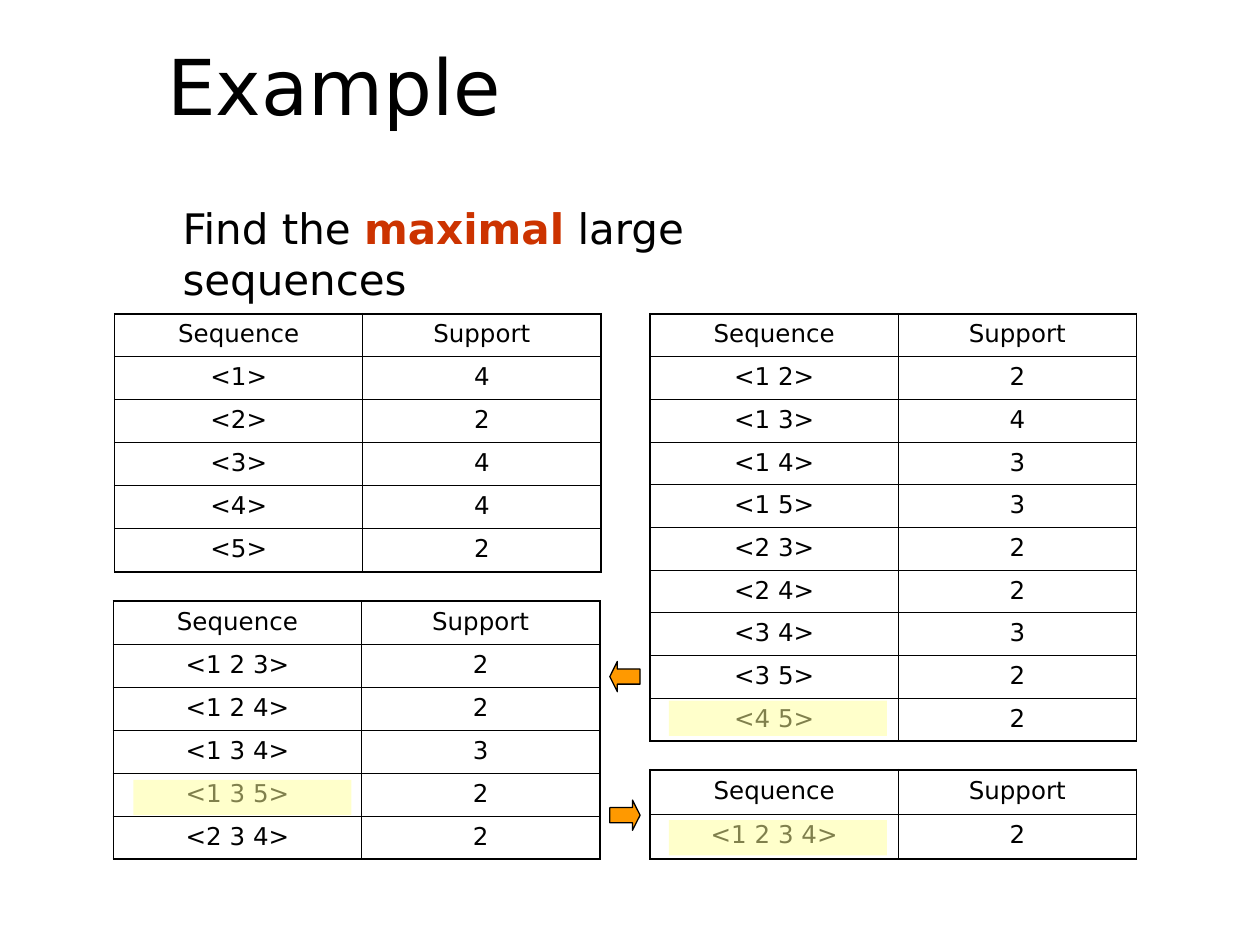
from dataclasses import dataclass

from lxml.etree import SubElement
from pptx import Presentation
from pptx.dml.color import RGBColor
from pptx.enum.shapes import MSO_SHAPE
from pptx.enum.text import MSO_ANCHOR, PP_ALIGN
from pptx.oxml import parse_xml
from pptx.oxml.ns import nsdecls, qn
from pptx.util import Inches, Pt


@dataclass(frozen=True)
class Theme:
    font: str = "DejaVu Sans"
    ink: str = "000000"
    accent: str = "CC3300"
    arrow: str = "FF9900"
    highlight: str = "FFFF99"
    title_size: int = 44
    body_size: int = 24
    cell_size: int = 14
    outer_border: float = 1.08
    inner_border: float = 0.45
    arrow_line: float = 0.75


THEME = Theme()

# Content
TITLE = [("Example", {})]
TASK = [
    ("Find the ", {}),
    ("maximal", {"color": THEME.accent, "bold": True}),
    (" large sequences", {}),
]
HEADER = ("Sequence", "Support")
COLUMN_WIDTHS = (1.97, 1.89)
TABLES = [  # left, top, height, rows
    (0.91, 2.49, 2.05, [("<1>", 4), ("<2>", 2), ("<3>", 4), ("<4>", 4), ("<5>", 2)]),
    (5.16, 2.49, 3.39, [
        ("<1 2>", 2), ("<1 3>", 4), ("<1 4>", 3), ("<1 5>", 3), ("<2 3>", 2),
        ("<2 4>", 2), ("<3 4>", 3), ("<3 5>", 2), ("<4 5>", 2),
    ]),
    (0.9, 4.77, 2.05, [
        ("<1 2 3>", 2), ("<1 2 4>", 2), ("<1 3 4>", 3), ("<1 3 5>", 2), ("<2 3 4>", 2),
    ]),
    (5.16, 6.11, 0.71, [("<1 2 3 4>", 2)]),
]
HIGHLIGHTS = [(5.31, 5.56), (1.06, 6.19), (5.31, 6.51)]
HIGHLIGHT_SIZE = (1.73, 0.28)
ARROWS = [(MSO_SHAPE.LEFT_ARROW, 5.25), (MSO_SHAPE.RIGHT_ARROW, 6.35)]
ARROW_LEFT, ARROW_SIZE = 4.84, 0.24


def write(para, spans, size):
    for text, style in spans:
        span = para.add_run()
        span.text = text
        values = {"name": THEME.font, "size": Pt(size), "bold": style.get("bold", False)}
        for name, value in values.items():
            setattr(span.font, name, value)
        span.font.color.rgb = RGBColor.from_string(style.get("color", THEME.ink))


def add_text(page, place, spans, size, anchor):
    box = page.shapes.add_textbox(*map(Inches, place))
    frame = box.text_frame
    frame.word_wrap = True
    frame.vertical_anchor = anchor
    write(frame.paragraphs[0], spans, size)


def set_borders(cell, widths):
    properties = cell._tc.get_or_add_tcPr()
    for index, (side, width) in enumerate(widths.items()):
        properties.insert(index, parse_xml(
            f'<a:ln{side} {nsdecls("a")} w="{int(Pt(width))}"><a:solidFill>'
            f'<a:srgbClr val="{THEME.ink}"/></a:solidFill></a:ln{side}>'))


def add_sequence_table(page, left, top, height, rows):
    lines = [HEADER, *rows]
    last_row, last_column = len(lines) - 1, len(HEADER) - 1
    place = map(Inches, (left, top, sum(COLUMN_WIDTHS), height))
    table = page.shapes.add_table(len(lines), len(HEADER), *place).table
    table.first_row = table.horz_banding = False
    for column, width in zip(table.columns, COLUMN_WIDTHS):
        column.width = Inches(width)
    for r, line in enumerate(lines):
        table.rows[r].height = Inches(height / len(lines))
        for c, value in enumerate(line):
            cell = table.cell(r, c)
            cell.fill.background()
            para = cell.text_frame.paragraphs[0]
            para.alignment = PP_ALIGN.CENTER
            write(para, [(str(value), {})], THEME.cell_size)
            outer = {"L": c == 0, "R": c == last_column, "T": r == 0, "B": r == last_row}
            set_borders(cell, {
                side: THEME.outer_border if edge else THEME.inner_border
                for side, edge in outer.items()})


def add_filled(page, kind, place, color):
    shape = page.shapes.add_shape(kind, *map(Inches, place))
    shape.shadow.inherit = False
    shape.fill.solid()
    shape.fill.fore_color.rgb = RGBColor.from_string(color)
    return shape


def main():
    deck = Presentation()
    deck.slide_width, deck.slide_height = Inches(10), Inches(7.5)
    page = deck.slides.add_slide(deck.slide_layouts[6])

    # Title and tables
    add_text(page, (1.23, 0.05, 8.77, 1.25), TITLE, THEME.title_size, MSO_ANCHOR.MIDDLE)
    for table in TABLES:
        add_sequence_table(page, *table)

    # Half-transparent marks over the maximal sequences
    for spot in HIGHLIGHTS:
        mark = add_filled(page, MSO_SHAPE.RECTANGLE, spot + HIGHLIGHT_SIZE, THEME.highlight)
        mark.line.fill.background()
        color = mark._element.spPr.find(qn("a:solidFill")).find(qn("a:srgbClr"))
        SubElement(color, qn("a:alpha"), val="50000")

    # Task statement
    add_text(page, (1.35, 1.56, 5.65, 0.5), TASK, THEME.body_size, MSO_ANCHOR.TOP)

    # Arrows between the tables
    for kind, top in ARROWS:
        arrow = add_filled(page, kind, (ARROW_LEFT, top, ARROW_SIZE, ARROW_SIZE), THEME.arrow)
        arrow.adjustments[0], arrow.adjustments[1] = 0.5, 0.25
        arrow.line.color.rgb = RGBColor.from_string(THEME.ink)
        arrow.line.width = Pt(THEME.arrow_line)

    deck.save("out.pptx")


if __name__ == "__main__":
    main()
